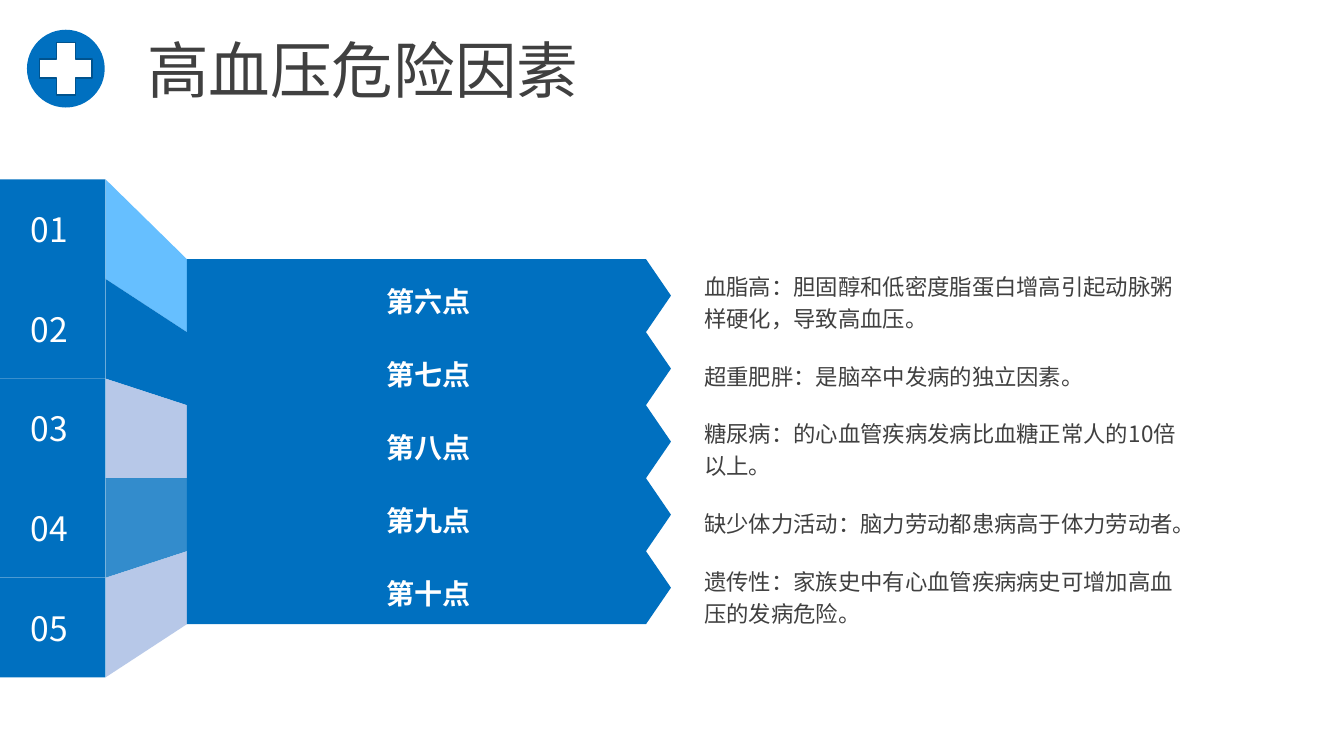
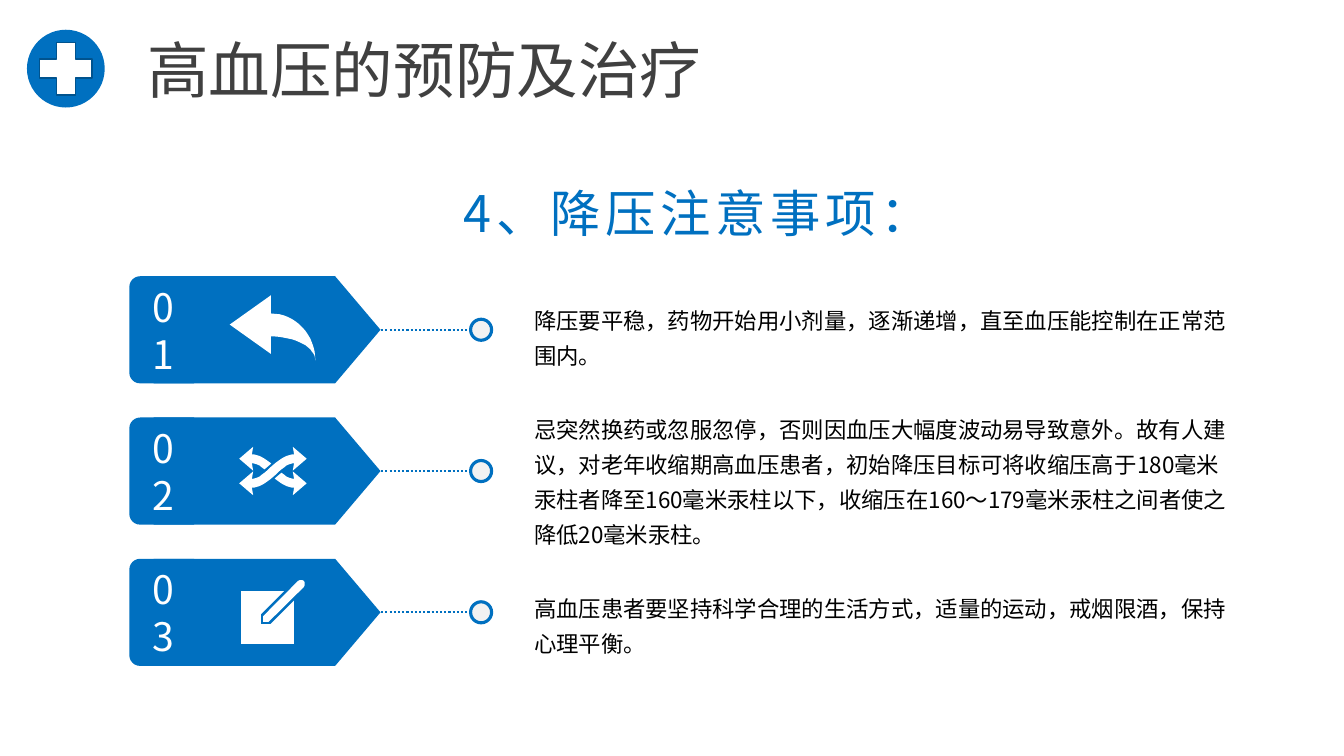
import math
from collections import namedtuple

from lxml import etree
from pptx import Presentation
from pptx import util as u
from pptx.dml.color import RGBColor
from pptx.enum import dml, shapes, text
from pptx.oxml.ns import qn

C = {
    "blue": "0070C0", "edge": "00538E", "sky": "40AFFF", "mist": "A5BBE3",
    "white": "FFFFFF", "pale": "F2F2F2", "grey": "404040", "black": "000000",
}
FONT = "Noto Sans CJK SC"
SHAPE = shapes.MSO_SHAPE
LEFT = {"alignment": text.PP_ALIGN.LEFT}
CENTER = {"alignment": text.PP_ALIGN.CENTER}
TOP = {"vertical_anchor": text.MSO_ANCHOR.TOP}
MIDDLE = {"vertical_anchor": text.MSO_ANCHOR.MIDDLE}
TIGHT = dict.fromkeys(["margin_left", "margin_right", "margin_top", "margin_bottom"], 0)
BODY = {**LEFT, "space_before": u.Pt(3.2)}


def paint(sp, fill, line=None, width=1, alpha=None):
    sp.shadow.inherit = False
    sp.fill.solid()
    sp.fill.fore_color.rgb = RGBColor.from_string(C[fill])
    if alpha:
        color = sp.element.spPr.find(".//" + qn("a:srgbClr"))
        etree.SubElement(color, qn("a:alpha")).set("val", str(alpha * 1000))
    if line:
        sp.line.color.rgb = RGBColor.from_string(C[line])
        sp.line.width = u.Pt(width)
    else:
        sp.line.fill.background()


def write(sp, string, size, color, para=LEFT, frame=TOP, bold=False):
    tf = sp.text_frame
    p = tf.paragraphs[0]
    r = p.add_run()
    r.text = string
    font = {"size": u.Pt(size), "name": FONT, "bold": bold}
    for target, formats in [(tf, {"word_wrap": True, **frame}), (p, para), (r.font, font)]:
        for name, value in formats.items():
            setattr(target, name, value)
    r.font.color.rgb = RGBColor.from_string(C[color])
    rPr = r._r.get_or_add_rPr()
    etree.SubElement(rPr, qn("a:ea")).set("typeface", FONT)
    return rPr


prs = Presentation()
prs.slide_width, prs.slide_height = u.Cm(33.87), u.Cm(19.05)
layout = prs.slide_layouts[5]

slides = []
title_box = {"left": u.Cm(3.35), "top": u.Cm(0.63), "width": u.Cm(24), "height": u.Cm(2.24)}
title_frame = {**TOP, "margin_left": u.Cm(0.36), "margin_top": u.Cm(0.18),
               "auto_size": text.MSO_AUTO_SIZE.NONE}
for heading in ["高血压危险因素", "高血压的预防及治疗"]:
    s = prs.slides.add_slide(layout)
    for name, value in title_box.items():
        setattr(s.shapes.title, name, value)
    write(s.shapes.title, heading, 44, "grey", LEFT, title_frame)
    slides.append(s)

badge_x, badge_y = 1.66, 1.73
for kind, size, fill, line in [(SHAPE.OVAL, 1.96, "blue", None), (SHAPE.CROSS, 1.32, "white", "edge")]:
    sp = slides[0].shapes.add_shape(
        kind, u.Cm(badge_x - size / 2), u.Cm(badge_y - size / 2), u.Cm(size), u.Cm(size))
    if kind == SHAPE.CROSS:
        sp.adjustments[0] = 0.32
    paint(sp, fill, line)
    layout.shapes.element.append(sp.element)

s = slides[0]
Factor = namedtuple("Factor", "label tint alpha body")
factors = [
    Factor("第六点", "sky", 80, "血脂高：胆固醇和低密度脂蛋白增高引起动脉粥样硬化，导致高血压。"),
    Factor("第七点", "blue", None, "超重肥胖：是脑卒中发病的独立因素。"),
    Factor("第八点", "mist", 80, "糖尿病：的心血管疾病发病比血糖正常人的10倍以上。"),
    Factor("第九点", "blue", 80, "缺少体力活动：脑力劳动都患病高于体力劳动者。"),
    Factor("第十点", "mist", 80, "遗传性：家族史中有心血管疾病病史可增加高血压的发病危险。"),
]
tabs_top, tab_h = 4.52, 2.51
arrows_top, arrow_h = 6.53, 1.84
fold_x, arrow_x, shoulder_x, tip_x = 2.66, 4.71, 16.28, 16.91
number_x, number_w, number_h = 0.4, 1.7, 1.2
label_x, label_w, label_h = 7.98, 5.66, 0.86
body_x, body_w, body_h = 17.5, 12.52, 1.9
first_body_y, body_step = 7.55, 1.86

for i, factor in enumerate(factors):
    tab_y = tabs_top + i * tab_h
    top = arrows_top + i * arrow_h
    mid, bottom = top + arrow_h / 2, top + arrow_h
    fold = [(fold_x, tab_y), (arrow_x, top), (arrow_x, bottom), (fold_x, tab_y + tab_h)]
    arrow = [(arrow_x, top), (shoulder_x, top), (tip_x, mid), (shoulder_x, bottom), (arrow_x, bottom)]
    for outline, fill, alpha in [(fold, factor.tint, factor.alpha), (arrow, "blue", None)]:
        points = [(x * 100, y * 100) for x, y in outline]
        fb = s.shapes.build_freeform(*points[0], scale=u.Cm(0.01))
        fb.add_line_segments(points[1:], close=True)
        paint(fb.convert_to_shape(), fill, alpha=alpha)

    tab = s.shapes.add_shape(SHAPE.RECTANGLE, 0, u.Cm(tab_y), u.Cm(fold_x), u.Cm(tab_h))
    paint(tab, "blue")
    tb = s.shapes.add_textbox(u.Cm(number_x), u.Cm(tab_y + (tab_h - number_h) / 2),
                              u.Cm(number_w), u.Cm(number_h))
    write(tb, f"{i + 1:02}", 24, "white", CENTER, {**TIGHT, **MIDDLE})
    tb = s.shapes.add_textbox(u.Cm(label_x), u.Cm(mid + 0.13 - label_h / 2),
                              u.Cm(label_w), u.Cm(label_h))
    write(tb, factor.label, 20, "white", CENTER, {**TIGHT, **MIDDLE}, True)
    tb = s.shapes.add_textbox(u.Cm(body_x), u.Cm(first_body_y + i * body_step - body_h / 2),
                              u.Cm(body_w), u.Cm(body_h))
    write(tb, factor.body, 16, "grey", {**BODY, "line_spacing": 1.2}, MIDDLE)

s = slides[1]
tb = s.shapes.add_textbox(u.Cm(11.68), u.Cm(4.6), u.Cm(13), u.Cm(1.55))
write(tb, "4、降压注意事项：", 36, "blue", LEFT, TIGHT).set("spc", "330")

advice = [
    "降压要平稳，药物开始用小剂量，逐渐递增，直至血压能控制在正常范围内。",
    "忌突然换药或忽服忽停，否则因血压大幅度波动易导致意外。故有人建议，对老年收缩期高血压患者，"
    "初始降压目标可将收缩压高于180毫米汞柱者降至160毫米汞柱以下，收缩压在160～179毫米汞柱之间者使之降低20毫米汞柱。",
    "高血压患者要坚持科学合理的生活方式，适量的运动，戒烟限酒，保持心理平衡。",
]
row_mids = [8.31 + i * 3.56 for i in range(len(advice))]
banner_x, banner_w, banner_h, tab_w = 3.87, 5.72, 2.7, 1.63
tab_x = 3.26
line_x, dot_x, dot = 9.5, 11.86, 0.53
body_x, body_w, body_h = 13.21, 17.98, 3.81
first_body_y, body_step = 8.42, 3.63

for i, (mid, body) in enumerate(zip(row_mids, advice)):
    for kind, left, length in [(SHAPE.FLOWCHART_OFFPAGE_CONNECTOR, banner_x, banner_w),
                               (SHAPE.ROUND_2_SAME_RECTANGLE, tab_x, tab_w)]:
        sp = s.shapes.add_shape(kind, u.Cm(left + (length - banner_h) / 2), u.Cm(mid - length / 2),
                                u.Cm(banner_h), u.Cm(length))
        sp.rotation = 270
        paint(sp, "blue")
    write(sp, f"{i + 1:02}", 28, "white", CENTER, MIDDLE)
    sp.text_frame._txBody.bodyPr.set("vert", "vert")

    ln = s.shapes.add_connector(shapes.MSO_CONNECTOR.STRAIGHT,
                                u.Cm(line_x), u.Cm(mid), u.Cm(dot_x), u.Cm(mid))
    ln.line.color.rgb = RGBColor.from_string(C["blue"])
    ln.line.width = u.Pt(1.5)
    ln.line.dash_style = dml.MSO_LINE.ROUND_DOT
    etree.SubElement(ln.element.spPr, qn("a:effectLst"))
    sp = s.shapes.add_shape(SHAPE.OVAL, u.Cm(dot_x), u.Cm(mid - dot / 2), u.Cm(dot), u.Cm(dot))
    paint(sp, "pale", "blue", 2.25)

    tb = s.shapes.add_textbox(u.Cm(body_x), u.Cm(first_body_y + i * body_step - body_h / 2),
                              u.Cm(body_w), u.Cm(body_h))
    write(tb, body, 16, "black", {**BODY, "line_spacing": 1.3}, MIDDLE)

icon_x = 6.88
reply_y, shuffle_y, pencil_y = row_mids
steps = [k / 16 for k in range(17)]
outlines = []

neck_x, tail_y, tail_w = icon_x - 0.05, reply_y + 0.78, 1.12
outer_h, inner_h = 1.19, 0.61
head_y, head_w, head_half = reply_y - 0.13, 1.04, 0.74
head = [(neck_x, head_y + head_half), (neck_x - head_w, head_y), (neck_x, head_y - head_half)]
quarter = [t * math.pi / 2 for t in steps]
tail = [(neck_x + tail_w * math.sin(a), tail_y - outer_h * math.cos(a)) for a in quarter]
tail += [(neck_x + tail_w * math.sin(a), tail_y - inner_h * math.cos(a)) for a in reversed(quarter)]
outlines += [(head, "white"), (tail, "white")]

strand_w, strand_rise, strand_half, halo_half = 1.1, 0.31, 0.11, 0.17
strands = [(1, strand_half, "white"), (-1, halo_half, "blue"), (-1, strand_half, "white")]
for slope, half, fill in strands:
    upper, lower = [], []
    for t in steps:
        angle = (t - 0.5) * math.pi
        x = icon_x + (t - 0.5) * strand_w
        y = shuffle_y + slope * strand_rise * math.sin(angle)
        tilt = math.hypot(1, strand_rise * math.pi / strand_w * math.cos(angle))
        upper.append((x, y - half * tilt))
        lower.append((x, y + half * tilt))
    outlines.append((upper + lower[::-1], fill))
for side in (-1, 1):
    for end in (-1, 1):
        y = shuffle_y + end * strand_rise
        base_x, notch_x, tip_x = (icon_x + side * d for d in (0.5, 0.55, 0.85))
        outlines.append(([(base_x, y - 0.3), (tip_x, y), (base_x, y + 0.3), (notch_x, y)], "white"))

paper, paper_x, paper_y = 1.33, 6.07, pencil_y - 0.53
nib_x, nib_y, pencil_len, nib_len = 6.63, pencil_y + 0.24, 1.35, 0.1
outlines.append(([(paper_x, paper_y), (paper_x + paper, paper_y),
                  (paper_x + paper, paper_y + paper), (paper_x, paper_y + paper)], "white"))
for half, fill in [(0.17, "blue"), (0.1, "white")]:
    profile = [(nib_len - half, 0), (nib_len, half)]
    profile += [(pencil_len + half * math.sin(t * math.pi), half * math.cos(t * math.pi)) for t in steps]
    profile.append((nib_len, -half))
    turned = [(nib_x + (along + across) / math.sqrt(2), nib_y + (across - along) / math.sqrt(2))
              for along, across in profile]
    outlines.append((turned, fill))

for outline, fill in outlines:
    points = [(x * 100, y * 100) for x, y in outline]
    fb = s.shapes.build_freeform(*points[0], scale=u.Cm(0.01))
    fb.add_line_segments(points[1:], close=True)
    paint(fb.convert_to_shape(), fill)

prs.save("out.pptx")
